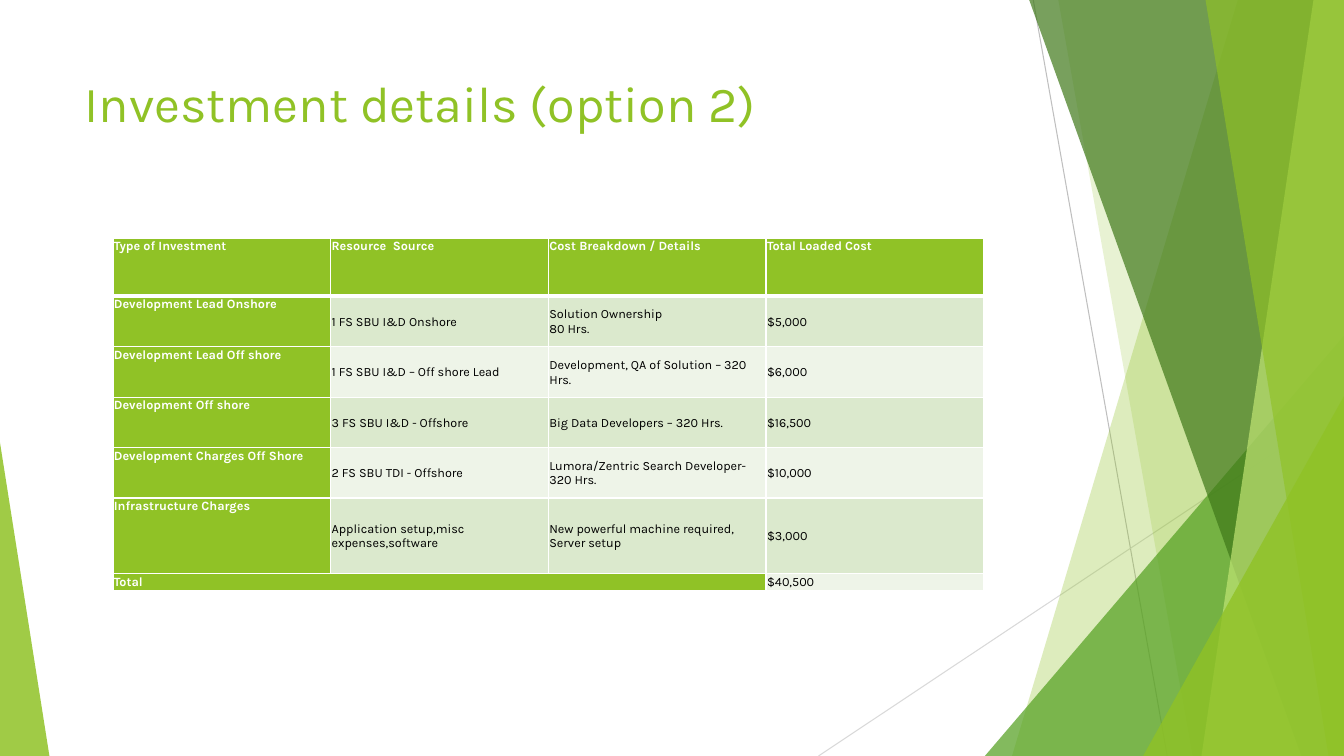
from dataclasses import dataclass

from lxml.etree import SubElement
from pptx import Presentation
from pptx.dml.color import RGBColor as RGB
from pptx.enum.shapes import MSO_CONNECTOR as Conn, MSO_SHAPE as Shape
from pptx.enum.text import MSO_ANCHOR as Anchor, MSO_AUTO_SIZE as AutoSize, PP_ALIGN as Align
from pptx.oxml.ns import qn
from pptx.util import Emu, Inches, Pt


@dataclass(frozen=True)
class Theme:
    font: str = "Karla"
    title_size: float = 36
    cell_size: float = 9
    green: str = "90C226"
    mid_green: str = "54A021"
    dark_green: str = "3F7819"
    pale_green: str = "C0E474"
    bands: tuple[str, str] = ("DBE9CD", "EEF4E8")
    white: str = "FFFFFF"
    black: str = "000000"


@dataclass(frozen=True)
class Ray:
    start: tuple[float, float]
    end: tuple[float, float]
    color: str


@dataclass(frozen=True)
class Band:
    """Full-height panel reaching the right edge, with a slanted left side."""
    top_x: float
    bottom_x: float
    color: str
    opacity: int


@dataclass(frozen=True)
class Corner:
    """Triangle on the bottom edge; apex is 0 for left, 1 for right."""
    left: float
    top: float
    width: float
    apex: int
    color: str
    opacity: int


T = Theme()
WIDTH, HEIGHT = Inches(13.333), Inches(7.5)


# Lengths are percentages of the slide's width and height
def px(share: float) -> Emu:
    return Emu(round(WIDTH * share / 100))


def py(share: float) -> Emu:
    return Emu(round(HEIGHT * share / 100))


RAYS = [
    Ray((76.88, 0), (86.85, 100), "BFBFBF"),
    Ray((100, 53.73), (60.9, 100), "D9D9D9"),
]
FACETS = [
    Band(92.1, 75.3, T.green, 30),
    Band(78.75, 88.73, T.green, 20),
    Corner(73.28, 44.4, 26.72, 1, T.mid_green, 72),
    Band(76.58, 96.83, T.dark_green, 70),
    Band(97.73, 89.4, T.pale_green, 70),
    Band(89.7, 98.85, T.green, 65),
    Corner(85.05, 52.4, 14.95, 1, T.green, 80),
    Corner(0, 58.53, 3.68, 0, T.green, 85),
]
COSTS = [
    ("Type of Investment", "Resource  Source", "Cost Breakdown / Details", "Total Loaded Cost"),
    ("Development Lead Onshore", "1 FS SBU I&D Onshore", "Solution Ownership\n80 Hrs.", "$5,000"),
    ("Development Lead Off shore", "1 FS SBU I&D – Off shore Lead",
     "Development, QA of Solution – 320 Hrs.", "$6,000"),
    ("Development Off shore", "3 FS SBU I&D - Offshore", "Big Data Developers – 320 Hrs.", "$16,500"),
    ("Development Charges Off Shore", "2 FS SBU TDI - Offshore",
     "Lumora/Zentric Search Developer- 320 Hrs.", "$10,000"),
    ("Infrastructure Charges", "Application setup,misc expenses,software",
     "New powerful machine required, Server setup", "$3,000"),
    ("Total", "", "", "$40,500"),
]
ROW_HEIGHTS = [7.73, 6.67, 6.67, 6.67, 6.67, 10, 2.27]
COLUMN_WIDTH = 16.2


def write(tf, text: str, *, size: float, color: str, bold: bool = False) -> None:
    for i, line in enumerate(text.split("\n")):
        p = tf.paragraphs[0] if i == 0 else tf.add_paragraph()
        p.alignment = Align.LEFT
        r = p.add_run()
        r.text = line
        r.font.name, r.font.size, r.font.bold = T.font, Pt(size), bold
        r.font.color.rgb = RGB.from_string(color)


def draw_ray(s, ray: Ray) -> None:
    line = s.shapes.add_connector(Conn.STRAIGHT, px(ray.start[0]), py(ray.start[1]),
                                  px(ray.end[0]), py(ray.end[1]))
    line.line.color.rgb = RGB.from_string(ray.color)
    line.line.width = Pt(0.75)
    SubElement(line.element.spPr, qn("a:effectLst"))


def draw_facet(s, facet: Band | Corner) -> None:
    if isinstance(facet, Band):
        outline = s.shapes.build_freeform(px(facet.top_x), 0)
        outline.add_line_segments([(px(100), 0), (px(100), py(100)), (px(facet.bottom_x), py(100))])
        sp = outline.convert_to_shape()
    else:
        sp = s.shapes.add_shape(Shape.ISOSCELES_TRIANGLE, px(facet.left), py(facet.top),
                                px(facet.width), py(100 - facet.top))
        sp.adjustments[0] = facet.apex
    sp.fill.solid()
    sp.fill.fore_color.rgb = RGB.from_string(facet.color)
    color = sp.element.spPr.find(qn("a:solidFill")).find(qn("a:srgbClr"))
    SubElement(color, qn("a:alpha"), val=str(facet.opacity * 1000))
    sp.line.fill.background()
    sp.shadow.inherit = False


def add_borders(cell, **widths: float) -> None:
    tcPr = cell._tc.get_or_add_tcPr()
    for side in "LRTB":
        ln = SubElement(tcPr, qn(f"a:ln{side}"), w=str(Pt(widths.get(side, 1))))
        SubElement(SubElement(ln, qn("a:solidFill")), qn("a:srgbClr"), val=T.white)


def format_cell(cell, text: str, row: int, col: int) -> None:
    heading = row == 0 or col == 0
    last = row == len(COSTS) - 1
    add_borders(cell, T=3 if row == 1 else 1, B=3 if row == 0 else 1)
    cell.fill.solid()
    cell.fill.fore_color.rgb = RGB.from_string(T.green if heading else T.bands[(row - 1) % 2])
    cell.margin_left = cell.margin_right = cell.margin_top = Inches(0.01)
    cell.margin_bottom = 0
    cell.vertical_anchor = Anchor.TOP if heading or last else Anchor.MIDDLE
    write(cell.text_frame, text, size=T.cell_size, color=T.white if heading else T.black, bold=heading)


def add_cost_table(s) -> None:
    rows, cols = len(COSTS), len(COSTS[0])
    table = s.shapes.add_table(rows, cols, px(8.4), py(31.47),
                               px(COLUMN_WIDTH * cols), py(sum(ROW_HEIGHTS))).table
    table.horz_banding = False
    for column in table.columns:
        column.width = px(COLUMN_WIDTH)
    for row, height in zip(table.rows, ROW_HEIGHTS):
        row.height = py(height)
    table.cell(rows - 1, 0).merge(table.cell(rows - 1, cols - 2))
    for i, texts in enumerate(COSTS):
        for j, text in enumerate(texts):
            if not table.cell(i, j).is_spanned:
                format_cell(table.cell(i, j), text, i, j)


def add_title(s, text: str) -> None:
    title = s.shapes.title
    title.left, title.top, title.width, title.height = px(5.55), py(8.93), px(70.5), py(19.2)
    tf = title.text_frame
    tf.word_wrap, tf.auto_size, tf.vertical_anchor = True, AutoSize.NONE, Anchor.TOP
    write(tf, text, size=T.title_size, color=T.green)
    s.shapes.element.append(title.element)  # in front of the decoration


def main() -> None:
    prs = Presentation()
    prs.slide_width, prs.slide_height = WIDTH, HEIGHT
    s = prs.slides.add_slide(prs.slide_layouts[5])

    # Decoration
    for ray in RAYS:
        draw_ray(s, ray)
    for facet in FACETS:
        draw_facet(s, facet)

    # Content
    add_title(s, "Investment details (option 2)")
    add_cost_table(s)
    prs.save("out.pptx")


if __name__ == "__main__":
    main()
